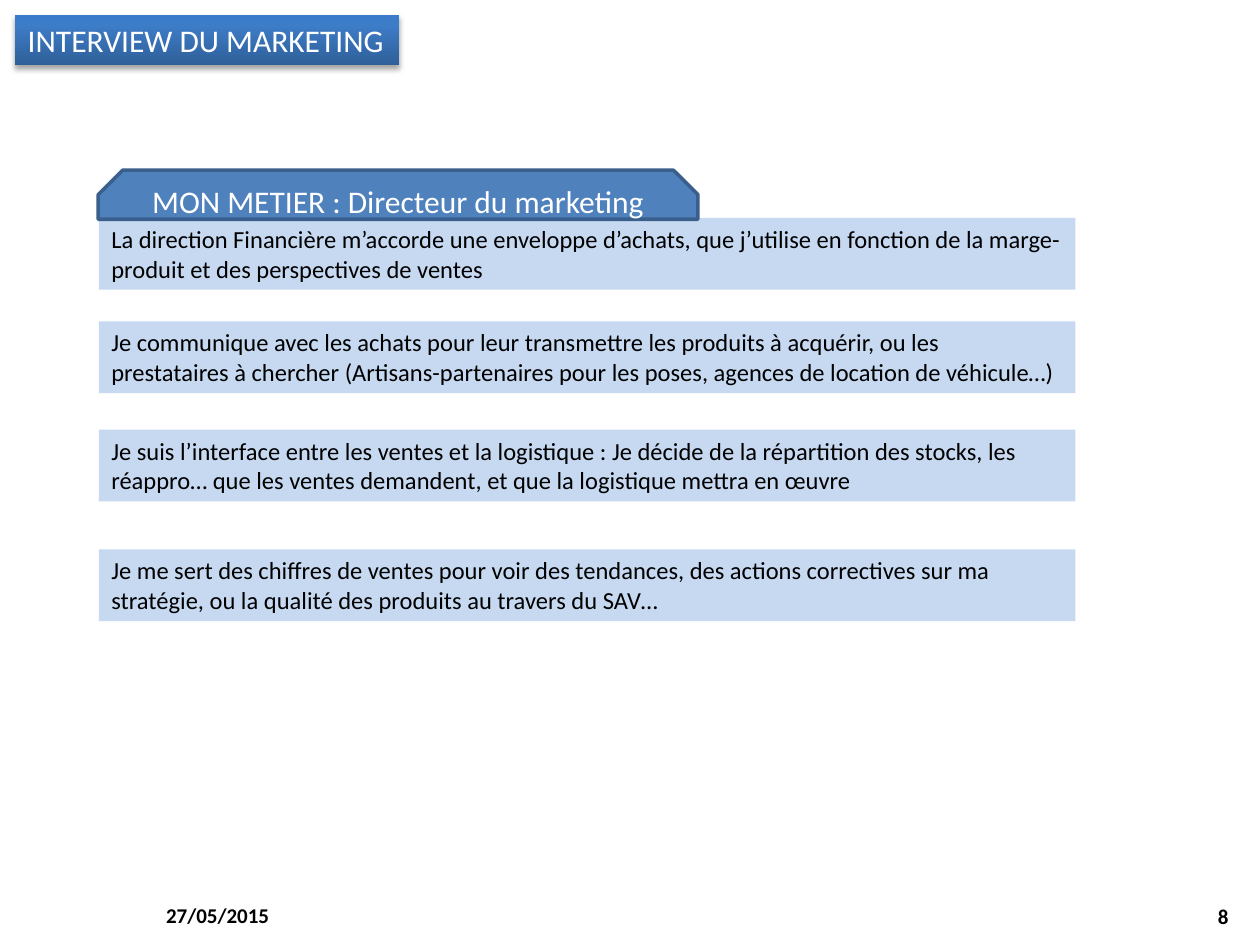
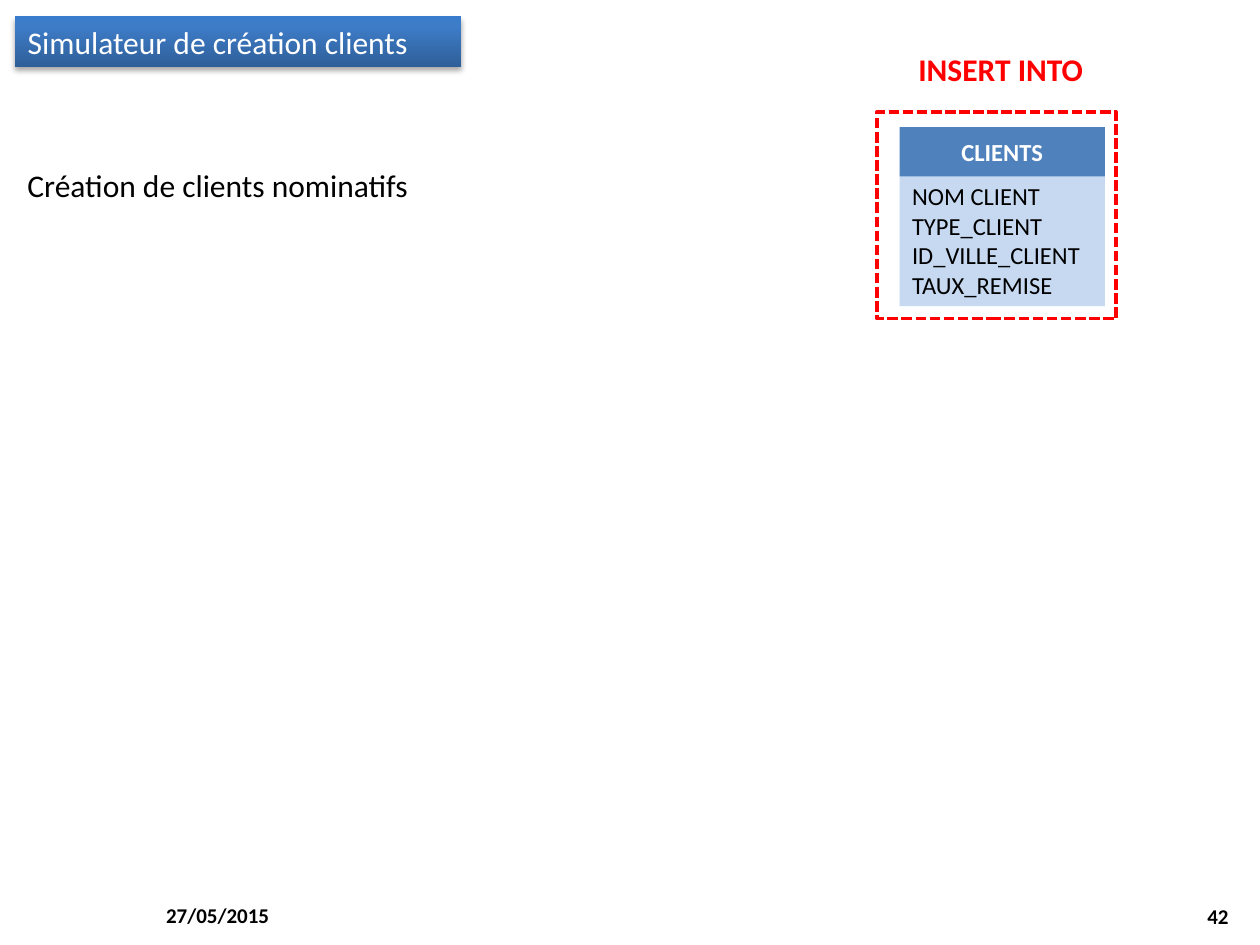
from lxml import etree
from pptx import Presentation
from pptx import util as u
from pptx.dml.color import RGBColor
from pptx.enum import dml, shapes, text
from pptx.oxml.ns import qn

FONT = "Calibri"
BLACK, WHITE, RED = "000000", "FFFFFF", "FF0000"
BLUE, BLUE_EDGE, PALE_BLUE = "4F81BD", "3A5F8C", "C6D9F1"
BAND_STOPS = [(0, "2F5F99"), (80, "3D7CC7"), (100, "3A7CCB")]
COLUMNS, ROWS = 100, 75
WIDTH, HEIGHT = u.Inches(10), u.Inches(7.5)
TITLE_ONLY = 5
DATE = "27/05/2015"

STATEMENTS = [
    (17.3, "La direction Financière m’accorde une enveloppe d’achats, que j’utilise en fonction "
           "de la marge-produit et des perspectives de ventes"),
    (25.5, "Je communique avec les achats pour leur transmettre les produits à acquérir, ou les "
           "prestataires à chercher (Artisans-partenaires pour les poses, agences de location "
           "de véhicule…)"),
    (34.1, "Je suis l’interface entre les ventes et la logistique : Je décide de la répartition "
           "des stocks, les réappro… que les ventes demandent, et que la logistique mettra en "
           "œuvre"),
    (43.6, "Je me sert des chiffres de ventes pour voir des tendances, des actions correctives "
           "sur ma stratégie, ou la qualité des produits au travers du SAV…"),
]
CLIENT_FIELDS = ["NOM CLIENT", "TYPE_CLIENT", "ID_VILLE_CLIENT", "TAUX_REMISE"]


def rgb(value):
    return RGBColor.from_string(value)


def grid(col, row, cols, rows):
    """Turn grid cells into left, top, width and height."""
    return (round(WIDTH * col / COLUMNS), round(HEIGHT * row / ROWS),
            round(WIDTH * cols / COLUMNS), round(HEIGHT * rows / ROWS))


def write(sp, lines, size, color=BLACK, bold=False, align=text.PP_ALIGN.LEFT,
          anchor=text.MSO_ANCHOR.TOP, spacing=None):
    tf = sp.text_frame
    tf.text = "\n".join(lines)
    tf.word_wrap = True
    tf.auto_size = text.MSO_AUTO_SIZE.NONE
    tf.vertical_anchor = anchor
    for p in tf.paragraphs:
        p.alignment, p.line_spacing = align, spacing
        p.font.name, p.font.size, p.font.bold = FONT, u.Pt(size), bold
        p.font.color.rgb = rgb(color)


def add_label(parent, cells, line, size, **style):
    sp = parent.add_textbox(*grid(*cells))
    write(sp, [line], size, **style)
    return sp


def add_box(parent, cells, fill=None, edge=None, kind=shapes.MSO_SHAPE.RECTANGLE):
    sp = parent.add_shape(kind, *grid(*cells))
    sp.shadow.inherit = False
    if fill:
        sp.fill.solid()
        sp.fill.fore_color.rgb = rgb(fill)
    else:
        sp.fill.background()
    if edge:
        sp.line.color.rgb, sp.line.width = rgb(edge), u.Pt(2)
    else:
        sp.line.fill.background()
    return sp


def add_header(parent, cells, line, size, snip=0, edge=None, bold=False):
    sp = add_box(parent, cells, BLUE, edge, shapes.MSO_SHAPE.SNIP_2_SAME_RECTANGLE)
    sp.adjustments[0], sp.adjustments[1] = snip, 0
    write(sp, [line], size, WHITE, bold, text.PP_ALIGN.CENTER, text.MSO_ANCHOR.MIDDLE)


def add_color(parent, value):
    return etree.SubElement(parent, qn("a:srgbClr"), val=value)


def style_band(sp):
    """Give the title its vertical gradient and soft drop shadow."""
    fill = etree.SubElement(sp._element.spPr, qn("a:gradFill"), rotWithShape="1")
    stops = etree.SubElement(fill, qn("a:gsLst"))
    for share, value in BAND_STOPS:
        add_color(etree.SubElement(stops, qn("a:gs"), pos=str(share * 1000)), value)
    etree.SubElement(fill, qn("a:lin"), ang=str(270 * 60000), scaled="0")
    effects = etree.SubElement(sp._element.spPr, qn("a:effectLst"))
    shadow = etree.SubElement(effects, qn("a:outerShdw"), blurRad=str(u.Pt(3.1)),
                              dist=str(u.Pt(1.8)), dir=str(90 * 60000), rotWithShape="0")
    etree.SubElement(add_color(shadow, BLACK), qn("a:alpha"), val="35000")


def add_slide(prs, title, title_cells, number):
    """Add a slide with its title band, date and page number."""
    slide = prs.slides.add_slide(prs.slide_layouts[TITLE_ONLY])
    sp = slide.shapes.title
    sp.left, sp.top, sp.width, sp.height = grid(*title_cells)
    write(sp, [title], 18, WHITE)
    sp.text_frame.margin_right = 0
    style_band(sp)
    footer = dict(bold=True, anchor=text.MSO_ANCHOR.MIDDLE)
    add_label(slide.shapes, (12.2, 70.6, 23.3, 4), DATE, 12, **footer)
    add_label(slide.shapes, (75.2, 70.7, 23.3, 4), str(number), 12,
              align=text.PP_ALIGN.RIGHT, **footer)
    return slide


def add_interview(prs):
    slide = add_slide(prs, "INTERVIEW DU MARKETING", (1.2, 1.2, 30.5, 4), 8)
    for row, statement in STATEMENTS:
        write(add_box(slide.shapes, (7.85, row, 77.5, 5.7), PALE_BLUE), [statement], 14)
    add_header(slide.shapes, (7.8, 13.5, 47.6, 3.9), "MON METIER : Directeur du marketing",
               18, snip=0.5, edge=BLUE_EDGE)


def add_client_simulator(prs):
    slide = add_slide(prs, "Simulateur de création clients", (1.2, 1.3, 35.4, 4), 42)
    add_label(slide.shapes, (1.2, 9.7, 68.3, 6.2), "Création de clients nominatifs", 18,
              spacing=2)
    insert = slide.shapes.add_group_shape().shapes
    write(add_box(insert, (71.4, 13.9, 16.3, 10.4), PALE_BLUE), CLIENT_FIELDS, 14)
    add_header(insert, (71.4, 10.1, 16.3, 3.9), "CLIENTS", 14, bold=True)
    frame = add_box(insert, (69.6, 8.9, 19, 16.4), edge=RED)
    frame.line.dash_style = dml.MSO_LINE.SQUARE_DOT
    caption = add_label(insert, (71.9, 3.5, 15.2, 4), "INSERT INTO", 18, color=RED, bold=True)
    caption.text_frame.margin_right = 0


def main():
    prs = Presentation()
    prs.slide_width, prs.slide_height = WIDTH, HEIGHT
    add_interview(prs)
    add_client_simulator(prs)
    prs.save("out.pptx")


if __name__ == "__main__":
    main()
